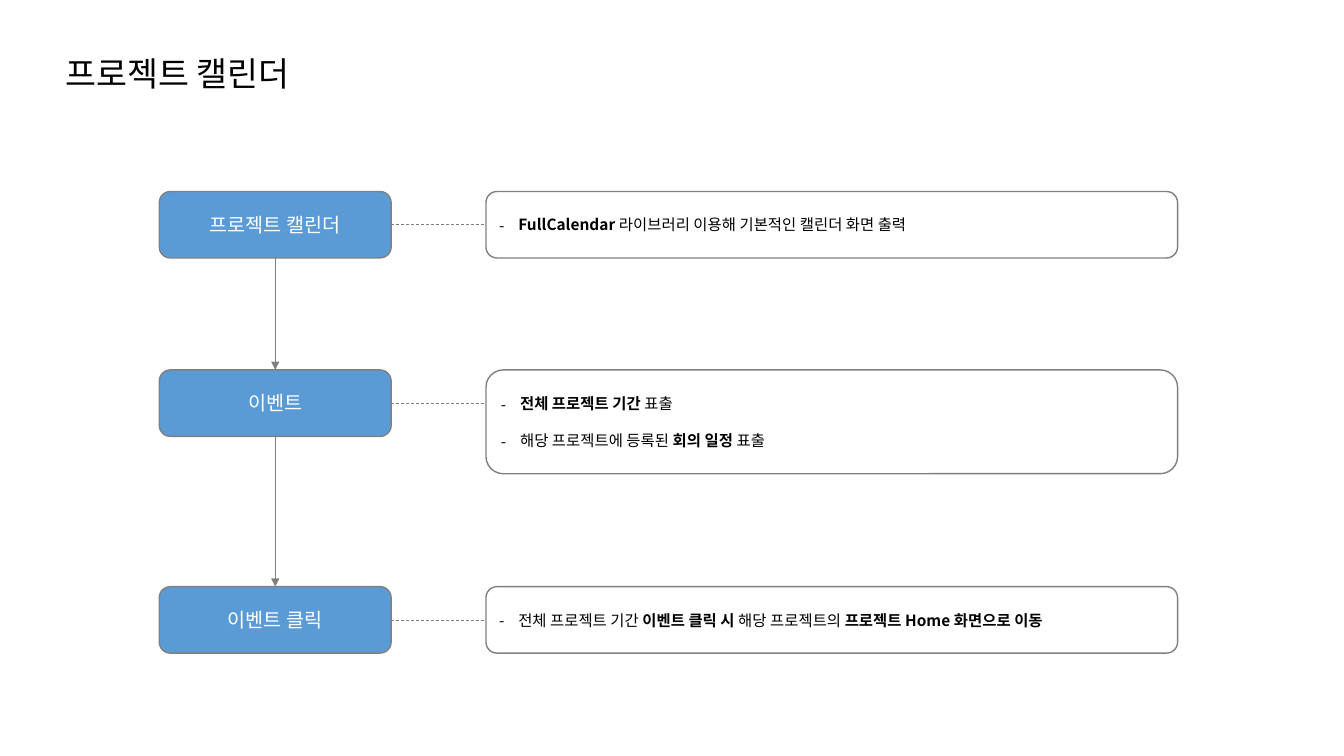
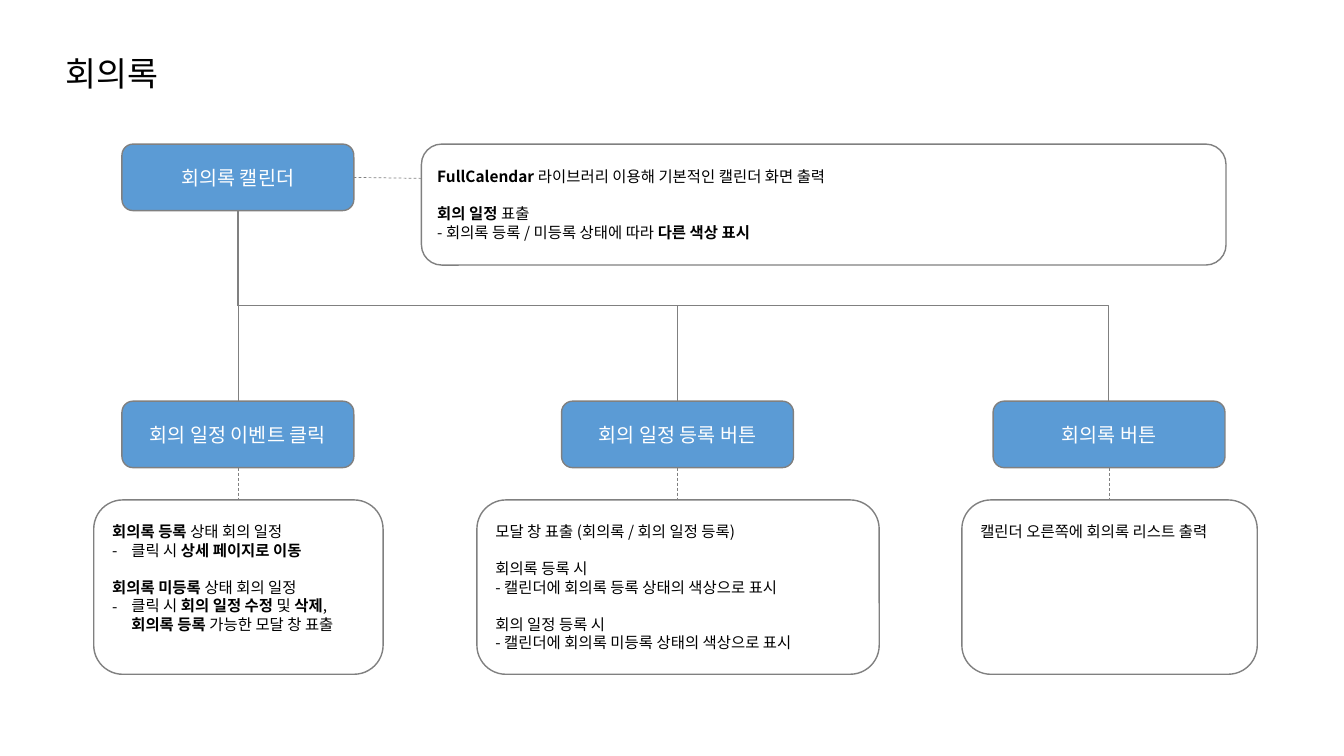
import pptx
import pptx.util
import pptx.dml.color
import pptx.enum.dml
import pptx.enum.shapes
import pptx.enum.text
import pptx.oxml.ns
import lxml.etree

PX = 9144  # 100 px to the inch
FONT = "Noto Sans CJK KR"
BLUE = pptx.dml.color.RGBColor(0x5B, 0x9B, 0xD5)
GRAY = pptx.dml.color.RGBColor(0x80, 0x80, 0x80)
WHITE = pptx.dml.color.RGBColor(255, 255, 255)
BLACK = pptx.dml.color.RGBColor(0, 0, 0)
ALIGN = pptx.enum.text.PP_ALIGN
ANCHOR = pptx.enum.text.MSO_ANCHOR
KIND = pptx.enum.shapes.MSO_CONNECTOR
ROUND = pptx.enum.shapes.MSO_SHAPE.ROUNDED_RECTANGLE
LINE = pptx.util.Pt(13.2)  # line pitch of the notes
HANG = 19 * PX
BOX_W, BOX_H = 230, 66
qn = pptx.oxml.ns.qn


def write(frame, items, size, color, align, pitch=None):
    """Write items; * toggles bold, a leading • makes a dash bullet, ^ skips a line."""
    for i, text in enumerate(items):
        para = frame.paragraphs[0] if i == 0 else frame.add_paragraph()
        para.alignment = align
        if pitch:
            para.line_spacing = pitch
        if text.startswith("^"):
            para.space_before = pitch
            text = text[1:]
        if text.startswith("•"):
            text = text[1:]
            props = para._p.get_or_add_pPr()
            props.set("marL", str(HANG))
            props.set("indent", str(-HANG))
            lxml.etree.SubElement(props, qn("a:buFont")).set("typeface", FONT)
            lxml.etree.SubElement(props, qn("a:buChar")).set("char", "-")
        para.font.name = FONT
        para.font.size = pptx.util.Pt(size)
        para.font.color.rgb = color
        base = para._p.pPr.find(qn("a:defRPr"))
        lxml.etree.SubElement(base, qn("a:ea")).set("typeface", FONT)
        for j, part in enumerate(text.split("*")):
            if part:
                run = para.add_run()
                run.text = part
                if j % 2:
                    run.font.bold = True


def join(slide, x1, y1, x2, y2, kind=KIND.STRAIGHT, dash=False, arrow=False):
    """Draw a thin gray connector."""
    line = slide.shapes.add_connector(kind, x1 * PX, y1 * PX, x2 * PX, y2 * PX)
    line.line.color.rgb = GRAY
    line.line.width = pptx.util.Pt(0.5)
    if dash:
        line.line.dash_style = pptx.enum.dml.MSO_LINE.DASH
    if arrow:
        tail = lxml.etree.SubElement(line.line._get_or_add_ln(), qn("a:tailEnd"))
        tail.set("type", "triangle")
    lxml.etree.SubElement(line._element.spPr, qn("a:effectLst"))
    return line


# Content: labels are (left, top, text), notes are (left, top, width, height, lines)
LEFT, NOTE = 158, 482
TOPS = (190, 367, 582)
COLS = (121, 557, 985)
HEAD, LOW, FOOT = 143, 398, 496
PAGES = (
    ("프로젝트 캘린더",
     [(LEFT, top, text) for top, text in
      zip(TOPS, ("프로젝트 캘린더", "이벤트", "이벤트 클릭"))],
     [(NOTE, TOPS[0], 686, 66,
       ["•*FullCalendar *라이브러리 이용해 기본적인 캘린더 화면 출력"]),
      (NOTE, TOPS[1], 686, 103,
       ["•*전체 프로젝트 기간 *표출",
        "^•해당 프로젝트에 등록된 *회의 일정 *표출"]),
      (NOTE, TOPS[2], 686, 66,
       ["•전체 프로젝트 기간 *이벤트 클릭 시* 해당 프로젝트의 "
        "*프로젝트 Home 화면으로 이동*"])]),
    ("회의록",
     [(COLS[0], HEAD, "회의록 캘린더")] +
     [(left, LOW, text) for left, text in
      zip(COLS, ("회의 일정 이벤트 클릭", "회의 일정 등록 버튼", "회의록 버튼"))],
     [(418, HEAD, 798, 120,
       ["*FullCalendar *라이브러리 이용해 기본적인 캘린더 화면 출력",
        "^*회의 일정 *표출",
        "- 회의록 등록 / 미등록 상태에 따라 *다른 색상 표시*"]),
      (93, FOOT, 287, 173,
       ["*회의록 등록 *상태 회의 일정",
        "•클릭 시 *상세 페이지로 이동*",
        "^*회의록 미등록 *상태 회의 일정",
        "•클릭 시 *회의 일정 수정* 및 *삭제*, *회의록 등록 *가능한 모달 창 표출"]),
      (473, FOOT, 399, 173,
       ["모달 창 표출 (회의록 / 회의 일정 등록)",
        "^회의록 등록 시",
        "- 캘린더에 회의록 등록 상태의 색상으로 표시",
        "^회의 일정 등록 시",
        "- 캘린더에 회의록 미등록 상태의 색상으로 표시"]),
      (954, FOOT, 293, 173, ["캘린더 오른쪽에 회의록 리스트 출력"])]),
)

deck = pptx.Presentation()
deck.slide_width, deck.slide_height = 1333 * PX, 750 * PX

# Titles, labels and notes
for name, labels, notes in PAGES:
    slide = deck.slides.add_slide(deck.slide_layouts[5])
    title = slide.shapes.title
    title.left, title.top, title.width, title.height = (
        n * PX for n in (55, 47, 334, 50))
    title.text_frame.vertical_anchor = ANCHOR.MIDDLE
    write(title.text_frame, [name], 24, BLACK, ALIGN.LEFT)

    cards = [(x, y, BOX_W, BOX_H, [text], BLUE) for x, y, text in labels]
    cards += [(*note, WHITE) for note in notes]
    for x, y, wide, high, lines, fill in cards:
        card = slide.shapes.add_shape(ROUND, x * PX, y * PX, wide * PX, high * PX)
        card.shadow.inherit = False
        card.fill.solid()
        card.fill.fore_color.rgb = fill
        card.line.color.rgb = GRAY
        card.line.width = pptx.util.Pt(1)
        frame = card.text_frame
        frame.word_wrap = True
        frame.vertical_anchor = ANCHOR.MIDDLE
        if y == FOOT:
            frame.vertical_anchor = ANCHOR.TOP
            frame.margin_top = 14 * PX
        if fill == BLUE:
            write(frame, lines, 14, WHITE, ALIGN.CENTER)
        else:
            write(frame, lines, 11, BLACK, ALIGN.LEFT, LINE)

flow, tree = deck.slides

# Flow: arrows down, dashes across to the notes
mid = LEFT + BOX_W // 2
for top, below in zip(TOPS, TOPS[1:]):
    join(flow, mid, top + BOX_H, mid, below, arrow=True)
for top in TOPS:
    y = top + BOX_H // 2
    join(flow, LEFT + BOX_W, y, NOTE, y, dash=True)

# Tree: a trunk, two elbows turned on their side, dashes to the notes
root = COLS[0] + BOX_W // 2
start = HEAD + BOX_H
drop = LOW - start
join(tree, root, start, root, LOW)
for left in COLS[1:]:
    span = left + BOX_W // 2 - root
    x = root + (span - drop) // 2
    y = start + (drop - span) // 2
    bend = join(tree, x, y, x + drop, y + span, KIND.ELBOW)
    turn = bend._element.spPr.find(qn("a:xfrm"))
    turn.set("rot", str(270 * 60000))
    turn.set("flipH", "1")
for left in COLS:
    x = left + BOX_W // 2
    join(tree, x, LOW + BOX_H, x, FOOT, dash=True)
y = HEAD + BOX_H // 2
join(tree, 418, y + 1, COLS[0] + BOX_W, y, dash=True)

deck.save("out.pptx")
